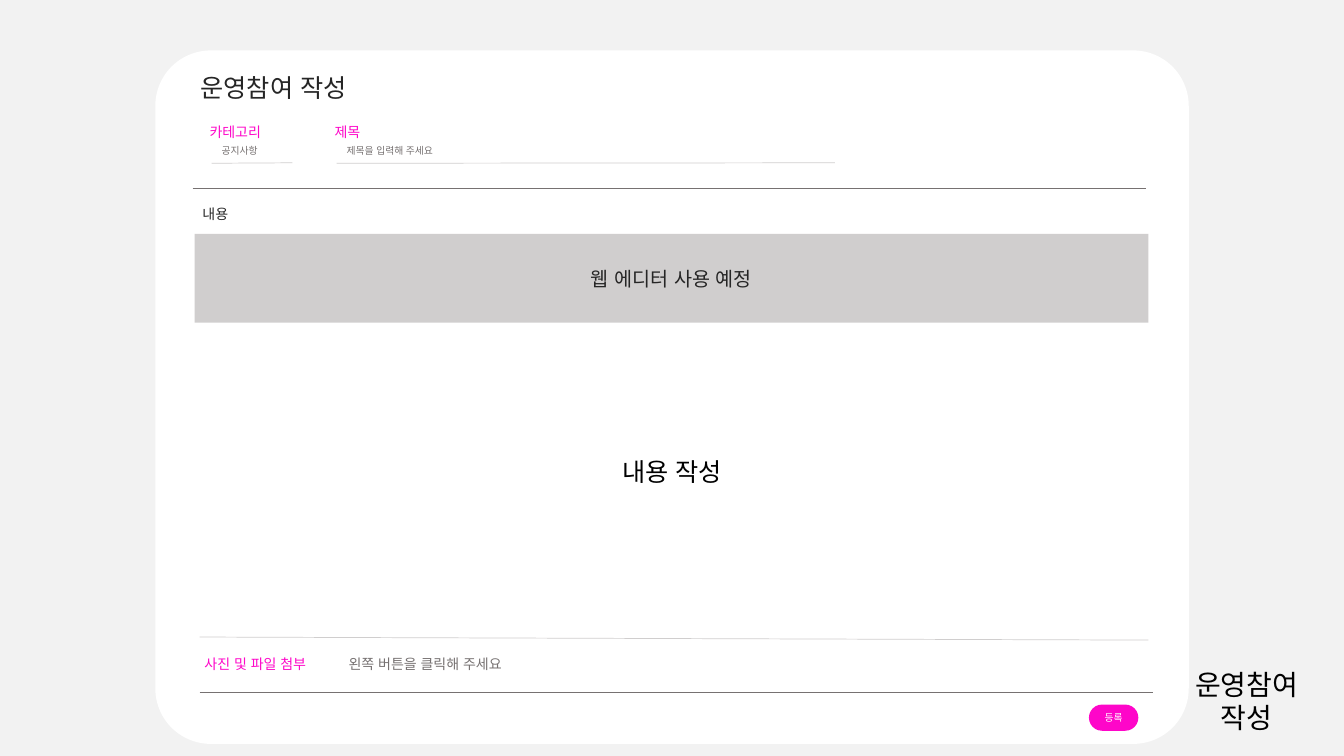
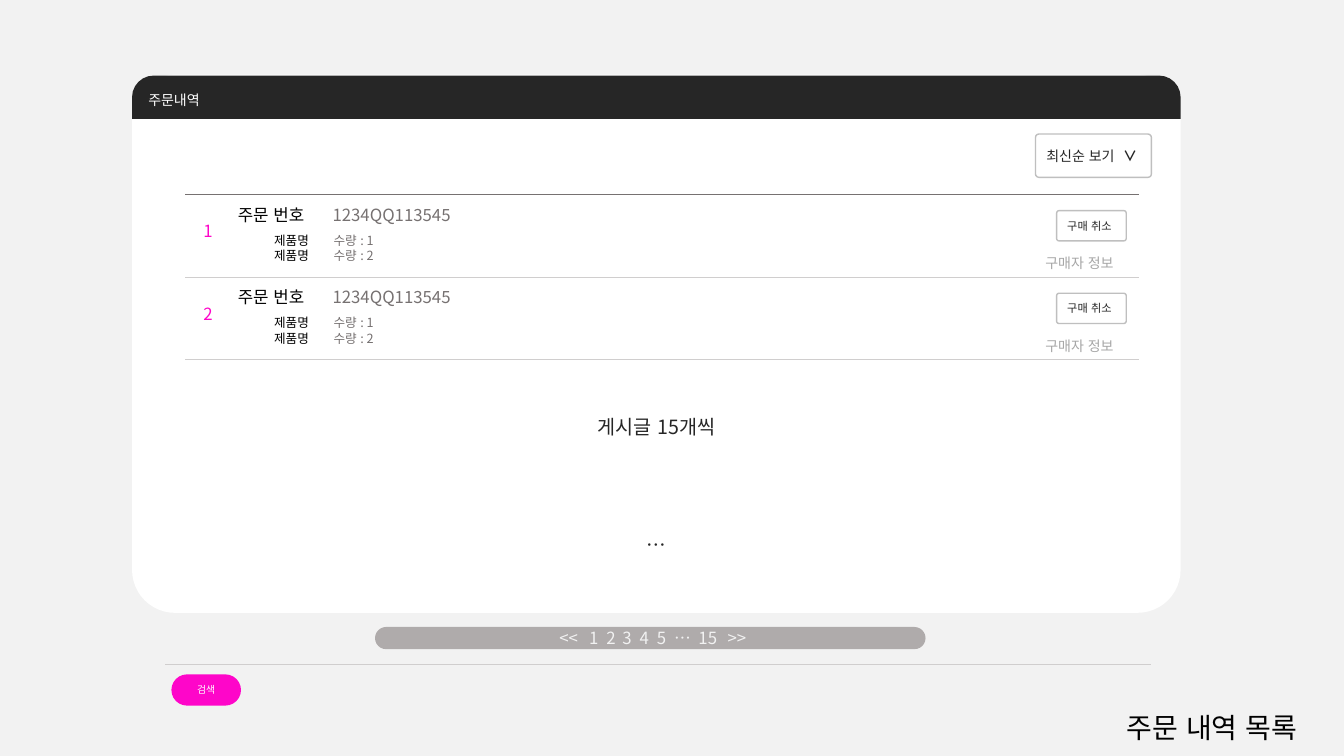
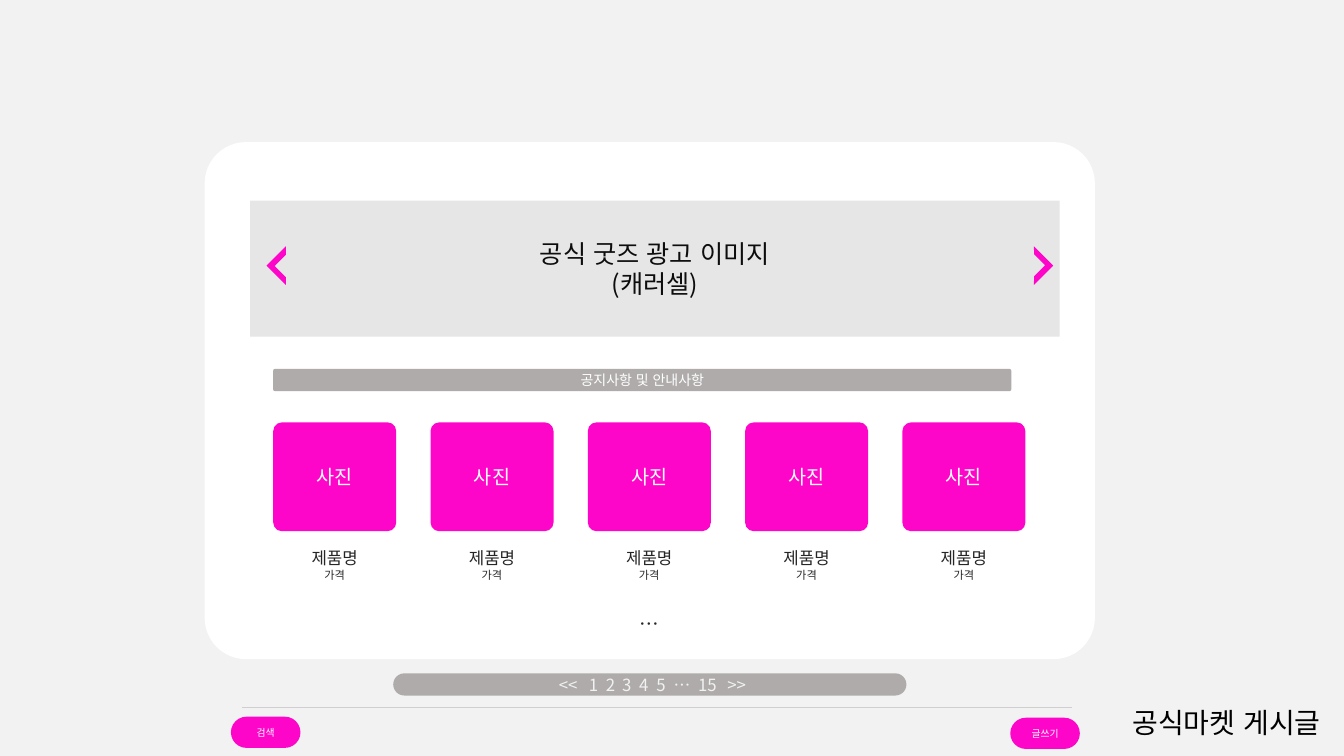
from itertools import cycle

from lxml import etree
from pptx import Presentation
from pptx.dml.color import RGBColor
from pptx.enum.lang import MSO_LANGUAGE_ID
from pptx.enum.shapes import MSO_CONNECTOR, MSO_SHAPE
from pptx.enum.text import MSO_ANCHOR, PP_ALIGN
from pptx.oxml.ns import qn
from pptx.util import Emu, Inches, Pt

LEFT, CENTER = PP_ALIGN.LEFT, PP_ALIGN.CENTER
TOP, MIDDLE = MSO_ANCHOR.TOP, MSO_ANCHOR.MIDDLE
RECT, ROUND = MSO_SHAPE.RECTANGLE, MSO_SHAPE.ROUNDED_RECTANGLE
ROUND_TOP, HALF_FRAME = MSO_SHAPE.ROUND_2_SAME_RECTANGLE, MSO_SHAPE.HALF_FRAME
STRAIGHT = MSO_CONNECTOR.STRAIGHT
KOREAN = MSO_LANGUAGE_ID.KOREAN

FONT = "Noto Sans CJK KR"
ROWS = 75
SOFT = 0.08
PAGES = ("<<", "1", "2", "3", "4", "5", "…", "15", ">>")
PAGE_OFFSETS = (-8.4, -5.9, -4.2, -2.6, -0.9, 0.8, 2.9, 5.4, 8.3)
COLORS = {
    "page": "F2F2F2",
    "white": "FFFFFF",
    "black": "000000",
    "ink": "262626",
    "banner_ink": "0D0D0D",
    "accent": "FE06C9",
    "gray": "767171",
    "bar": "AFABAB",
    "rule": "D0CECE",
    "banner": "E7E6E6",
    "outline": "BFBFBF",
    "muted": "A6A6A6",
}


def rgb(name):
    return RGBColor.from_string(COLORS[name])


class Wireframe:
    """Draws styled elements on the current slide, measured in square grid cells."""

    def __init__(self):
        self.prs = Presentation()
        self.prs.slide_width, self.prs.slide_height = Inches(13.33), Inches(7.5)
        self.cell = self.prs.slide_height / ROWS
        fill = self.prs.slide_master.background.fill
        fill.solid()
        fill.fore_color.rgb = rgb("page")
        self.s = None

    def units(self, *cells):
        return [Emu(round(c * self.cell)) for c in cells]

    def new_slide(self):
        self.s = self.prs.slides.add_slide(self.prs.slide_layouts[6])

    def shape(self, kind, at, fill=None, adj=(), line=None, turn=0):
        sp = self.s.shapes.add_shape(kind, *self.units(*at))
        sp.shadow.inherit = False
        sp.rotation = turn
        for i, value in enumerate(adj):
            sp.adjustments[i] = value
        if fill:
            sp.fill.solid()
            sp.fill.fore_color.rgb = rgb(fill)
        else:
            sp.fill.background()
        if line:
            sp.line.color.rgb = rgb(line)
            sp.line.width = Pt(1)
        else:
            sp.line.fill.background()
        return sp

    def label(self, sp, text, sizes, color, value=None, align=CENTER, anchor=MIDDLE,
              tabs=(), tab_align="l"):
        tf = sp.text_frame
        tf.word_wrap = True
        tf.vertical_anchor = anchor
        tf.text = text.replace("\t", "")
        for p, line, size in zip(tf.paragraphs, text.split("\n"), cycle(sizes)):
            p.text, *rest = line.split("\t")
            for part in rest:
                p.add_run().text = "\t" + part
            p.alignment = align
            p.line_spacing = Pt(size * 1.2)
            if tabs:
                stops = etree.SubElement(p._p.get_or_add_pPr(), qn("a:tabLst"))
                for pos in self.units(*tabs):
                    etree.SubElement(stops, qn("a:tab"), pos=str(int(pos)), algn=tab_align)
            for i, r in enumerate(p.runs):
                r.font.size = Pt(size)
                r.font.name = FONT
                r.font.language_id = KOREAN
                r.font.color.rgb = rgb(value if i and value else color)
                etree.SubElement(r._r.get_or_add_rPr(), qn("a:ea"), typeface=FONT)
        return sp

    def text(self, at, text, size, color, align=LEFT, anchor=TOP, **style):
        sp = self.s.shapes.add_textbox(*self.units(*at))
        return self.label(sp, text, [size], color, align=align, anchor=anchor, **style)

    def line(self, x1, y1, x2, y2, color="rule"):
        cx = self.s.shapes.add_connector(STRAIGHT, *self.units(x1, y1, x2, y2))
        cx.line.color.rgb = rgb(color)
        cx.line.width = Pt(0.5)
        etree.SubElement(cx._element.spPr, qn("a:effectLst"))

    def card(self, *at):
        self.shape(ROUND, at, "white", [SOFT])

    def caption(self, at, text):
        self.text(at, text, 20, "black", CENTER)

    def button(self, x, y, text, w=6.9, h=3.1):
        self.label(self.shape(ROUND, (x, y, w, h), "accent", [0.5]), text, [7], "white")

    def outlined(self, at, text, size, **style):
        sp = self.shape(ROUND, at, adj=[SOFT], line="outline")
        return self.label(sp, text, [size], "ink", align=LEFT, **style)

    def pager(self, x, y, w):
        middle = w / 2 - 1
        self.label(self.shape(ROUND, (x, y, w, 2.2), "bar", [0.5]),
                   "".join("\t" + page for page in PAGES), [12], "page", align=LEFT,
                   tabs=[middle + d for d in PAGE_OFFSETS], tab_align="ctr")

    def field(self, x, label, hint, hint_width, line_width):
        self.text((x, 11.8, 8.2, 2.7), label, 10, "accent")
        self.line(x + 1.2, 16.2, x + 1.2 + line_width, 16.15)
        self.text((x + 1.2, 13.9, hint_width, 2.2), hint, 7, "gray")

    def order(self, y, number):
        self.line(18.4, y + 8.2, 113, y + 8.2)
        self.text((102.7, y + 5.5, 11.4, 2.7), "구매자 정보", 10, "muted")
        self.text((22.6, y + 0.5, 51.8, 3), "주문 번호\t1234QQ113545", 12, "black",
                  value="gray", tabs=[9.4])
        self.text((19.2, y + 2.1, 3.7, 3), str(number), 12, "accent")
        self.text((26.2, y + 3.3, 51.9, 5.6), "제품명\t수량 : 1\n제품명\t수량 : 2", 9, "black",
                  value="gray", tabs=[5.9])
        self.outlined((104.8, y + 1.6, 6.9, 3), "구매 취소", 8)

    def product(self, x):
        photo = self.shape(ROUND, (x, 41.9, 12.2, 10.8), "accent", [SOFT])
        self.label(photo, "사진", [14], "white")
        name = self.shape(ROUND, (x + 1.5, 53.7, 9.2, 4.6), adj=[SOFT])
        self.label(name, "제품명\n가격", [12, 8], "ink")

    def arrow(self, x, turn):
        self.shape(HALF_FRAME, (x, 25, 2.7, 2.7), "accent", [0.22, 0.2], turn=turn)


def post_form(w):
    w.new_slide()
    w.card(15.4, 5, 102.5, 68.8)
    w.line(19.1, 18.7, 113.7, 18.7, "gray")
    w.line(19.8, 68.7, 114.4, 68.7, "gray")
    w.caption((116.3, 65.7, 14.7, 7.7), "운영참여 작성")
    w.button(108, 69.9, "등록", 4.9, 2.6)
    editor = w.shape(RECT, (19.3, 23.2, 94.6, 8.8), "rule")
    w.label(editor, "웹 에디터 사용 예정", [14], "ink")
    w.text((19.1, 19.9, 8.2, 2.7), "내용", 10, "ink")
    w.field(19.8, "카테고리", "공지사항", 9.9, 8)
    w.field(32.2, "제목", "제목을 입력해 주세요", 13.2, 49.4)
    w.text((41.2, 44.8, 50.9, 4), "내용 작성", 18, "black", CENTER)
    w.text((18.9, 6.7, 18.3, 4), "운영참여 작성", 18, "ink")
    w.text((19.3, 64.6, 94.6, 2.5), "사진 및 파일 첨부\t왼쪽 버튼을 클릭해 주세요", 10, "accent",
           anchor=MIDDLE, value="gray", tabs=[14.3])
    w.line(19.8, 63.2, 113.9, 63.5)


def order_list(w):
    w.new_slide()
    w.caption((108.6, 70, 23.2, 4.4), "주문 내역 목록")
    w.card(13.1, 7.4, 104, 53.4)
    header = w.shape(ROUND_TOP, (13.1, 7.5, 104, 4.3), "ink", [0.5, 0])
    w.label(header, "주문내역", [10], "white", align=LEFT)
    w.text((13.1, 40.8, 104, 3), "게시글 15개씩", 14, "ink", CENTER, MIDDLE)
    w.text((13.1, 52.5, 104, 3), "…", 14, "ink", CENTER, MIDDLE)
    w.line(18.4, 19.3, 113, 19.3, "gray")
    sort = w.outlined((102.7, 13.3, 11.5, 4.3), "최신순 보기\t∨", 10, tabs=[7.6])
    sort.text_frame.paragraphs[0].runs[-1].font.bold = True
    w.pager(37.2, 62.2, 54.6)
    w.button(17, 66.9, "검색")
    w.line(16.4, 65.9, 114.2, 65.9)
    for i in range(2):
        w.order(19.3 + 8.2 * i, i + 1)


def market(w):
    w.new_slide()
    w.caption((107.1, 69.5, 29.1, 4.4), "공식마켓 게시글")
    w.card(20.3, 14.1, 88.3, 51.3)
    w.text((20.3, 60.4, 88.3, 3), "…", 14, "ink", CENTER, MIDDLE)
    notice = w.shape(ROUND, (27.1, 36.6, 73.2, 2.2), "bar", [SOFT])
    w.label(notice, "공지사항 및 안내사항", [10], "white")
    w.pager(39, 66.8, 50.9)
    w.button(22.9, 71.1, "검색")
    w.line(24, 70.2, 106.3, 70.2)
    for i in range(5):
        w.product(27.1 + 15.6 * i)
    banner = w.shape(RECT, (24.8, 19.9, 80.3, 13.5), "banner")
    w.label(banner, "공식 굿즈 광고 이미지\n(캐러셀)", [18], "banner_ink")
    w.arrow(101.2, 135)
    w.arrow(27, 315)
    w.button(100.2, 71.2, "글쓰기")


def main():
    w = Wireframe()
    for build in (post_form, order_list, market):
        build(w)
    w.prs.save("out.pptx")


if __name__ == "__main__":
    main()
